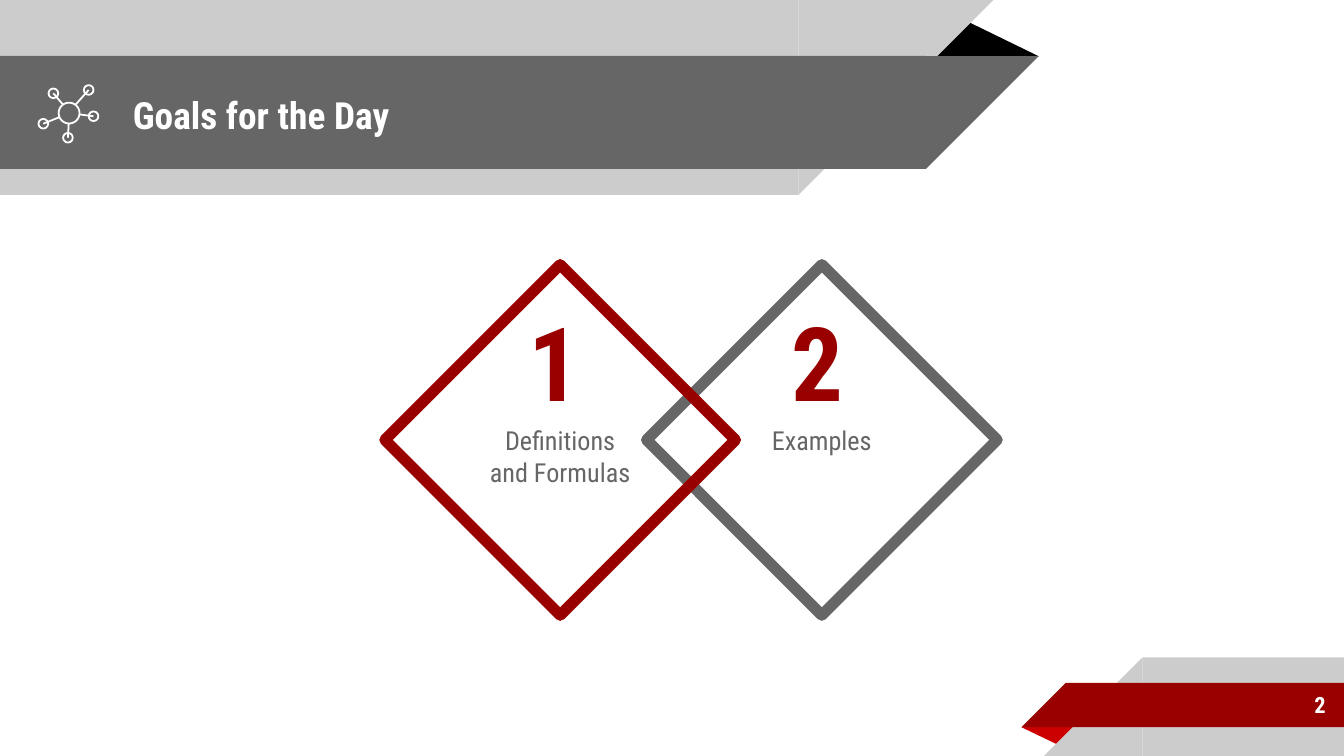
import pptx
import pptx.util
import pptx.dml.color
import pptx.enum.shapes
import pptx.enum.text
import pptx.oxml.ns
import lxml.etree

Pt = pptx.util.Pt
RGBColor = pptx.dml.color.RGBColor
SHAPE = pptx.enum.shapes.MSO_SHAPE
ALIGN = pptx.enum.text.PP_ALIGN
ANCHOR = pptx.enum.text.MSO_ANCHOR

WHITE = RGBColor(0xFF, 0xFF, 0xFF)
BLACK = RGBColor(0x00, 0x00, 0x00)
LIGHT = RGBColor(0xCC, 0xCC, 0xCC)
GRAY = RGBColor(0x66, 0x66, 0x66)
RED = RGBColor(0x99, 0x00, 0x00)
BRIGHT_RED = RGBColor(0xCC, 0x00, 0x00)


def add_shape(kind, box, fill=None, line=None, width=1):
    sp = s.shapes.add_shape(kind, *[Pt(v) for v in box])
    sp.shadow.inherit = False
    if fill is None:
        sp.fill.background()
    else:
        sp.fill.solid()
        sp.fill.fore_color.rgb = fill
    if line is None:
        sp.line.fill.background()
    else:
        sp.line.color.rgb = line
        sp.line.width = Pt(width)
    return sp


def set_text(sp, text, size, color, bold, align, anchor):
    tf = sp.text_frame
    tf.text = text
    tf.word_wrap = True
    tf.vertical_anchor = anchor
    tf.margin_left = tf.margin_right = tf.margin_top = tf.margin_bottom = Pt(7.2)
    p = tf.paragraphs[0]
    p.alignment = align
    font = p.runs[0].font
    font.name = "Roboto Condensed"
    font.size = Pt(size)
    font.bold = bold
    font.color.rgb = color


prs = pptx.Presentation()
prs.slide_width = Pt(720)
prs.slide_height = Pt(405)
s = prs.slides.add_slide(prs.slide_layouts[6])

header_fold = add_shape(SHAPE.ISOSCELES_TRIANGLE, (495.4, 10, 61.2, 20.2), BLACK)
header_fold.adjustments[0] = 0.324
for top, width, height, color in [(0, 427.7, 104.4, LIGHT), (30, 496.1, 60.5, GRAY)]:
    add_shape(SHAPE.RECTANGLE, (0, top, width, height), color)
    sp = add_shape(SHAPE.RIGHT_TRIANGLE, (width, top, height, height), color)
    sp.rotation = 180
    sp._element.spPr.xfrm.set("flipH", "1")

footer_fold = add_shape(SHAPE.ISOSCELES_TRIANGLE, (547.2, 389.6, 30.8, 10), BRIGHT_RED)
footer_fold.adjustments[0] = 0.324
footer_fold.rotation = 180
for left, top, height, color in [(612, 352.2, 52.8, LIGHT), (571, 365.8, 23.8, RED)]:
    add_shape(SHAPE.RECTANGLE, (left, top, 720 - left, height), color)
    sp = add_shape(SHAPE.RIGHT_TRIANGLE, (left - height, top, height, height), color)
    sp._element.spPr.xfrm.set("flipH", "1")

diamonds = [
    (346.4, WHITE, GRAY, "Examples", 7.2),
    (206.2, None, RED, "Definitions and Formulas", 24.4),
]
for left, fill, line, text, inset in diamonds:
    sp = add_shape(SHAPE.DIAMOND, (left, 141.8, 187.8, 187.8), fill, line, 6)
    set_text(sp, text, 14, GRAY, False, ALIGN.CENTER, ANCHOR.MIDDLE)
    sp.text_frame.margin_top = Pt(inset)

nodes = [(47.5, 48.2), (28.6, 50), (23.2, 66.3), (36.4, 73.8), (50.1, 62.3)]
hub_ends = [(40.4, 56.2), (33.9, 56.2), (31.8, 62.8), (36.8, 66.3), (42.6, 61.3)]
for x, y in nodes:
    add_shape(SHAPE.OVAL, (x - 2.6, y - 2.6, 5.2, 5.2), None, WHITE, 0.96)
add_shape(SHAPE.OVAL, (31.4, 55, 11.2, 11.2), None, WHITE, 0.96)
for node, end in zip(nodes, hub_ends):
    spoke = s.shapes.add_connector(
        pptx.enum.shapes.MSO_CONNECTOR.STRAIGHT, *[Pt(v) for v in node + end]
    )
    spoke.line.color.rgb = WHITE
    spoke.line.width = Pt(0.96)
    lxml.etree.SubElement(spoke._element.spPr, pptx.oxml.ns.qn("a:effectLst"))

labels = [
    ("Goals for the Day", (64.1, 31, 414, 60.5), 20, WHITE, ALIGN.LEFT, ANCHOR.MIDDLE),
    ("2", (599.8, 365, 117.4, 25.2), 12, WHITE, ALIGN.RIGHT, ANCHOR.MIDDLE),
    ("1", (275.8, 154.1, 38.9, 79.2), 55, RED, ALIGN.LEFT, ANCHOR.BOTTOM),
    ("2", (416.9, 154.1, 38.9, 79.2), 55, RED, ALIGN.LEFT, ANCHOR.BOTTOM),
]
for text, box, size, color, align, anchor in labels:
    sp = s.shapes.add_textbox(*[Pt(v) for v in box])
    set_text(sp, text, size, color, True, align, anchor)

prs.save("out.pptx")
